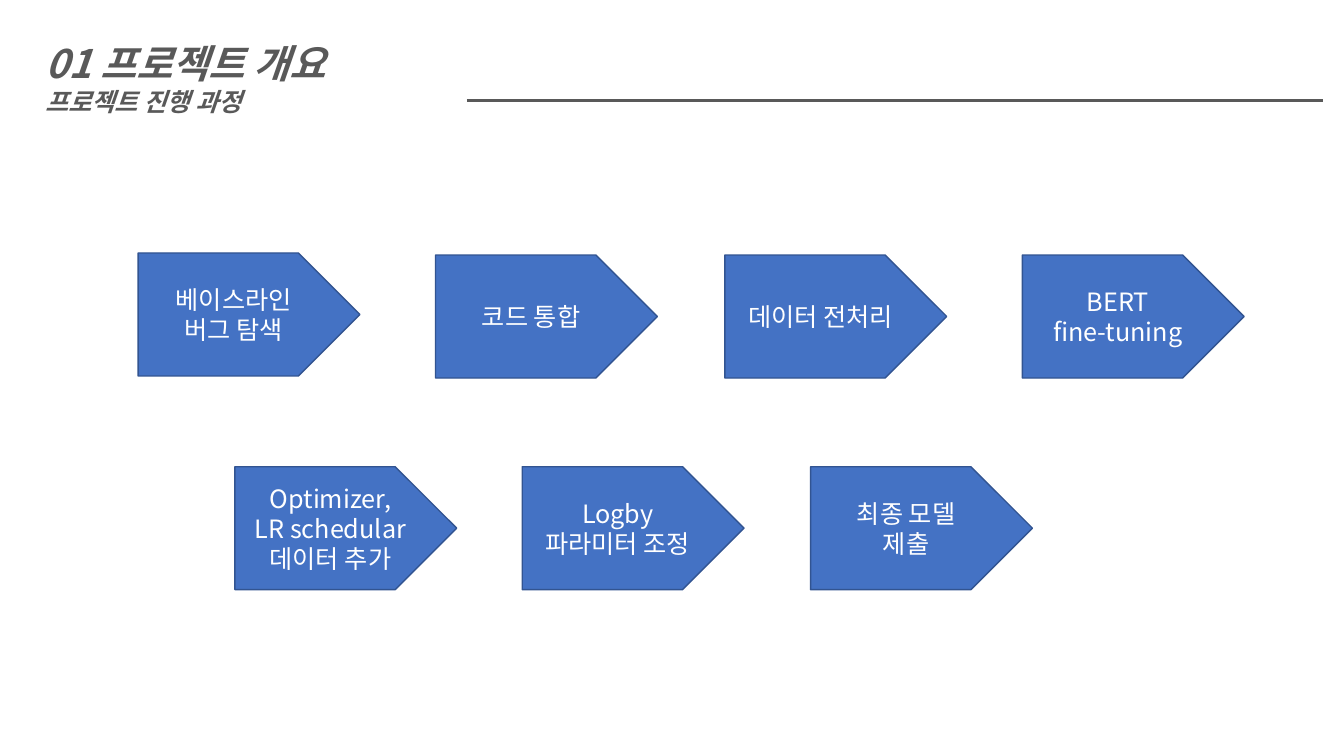
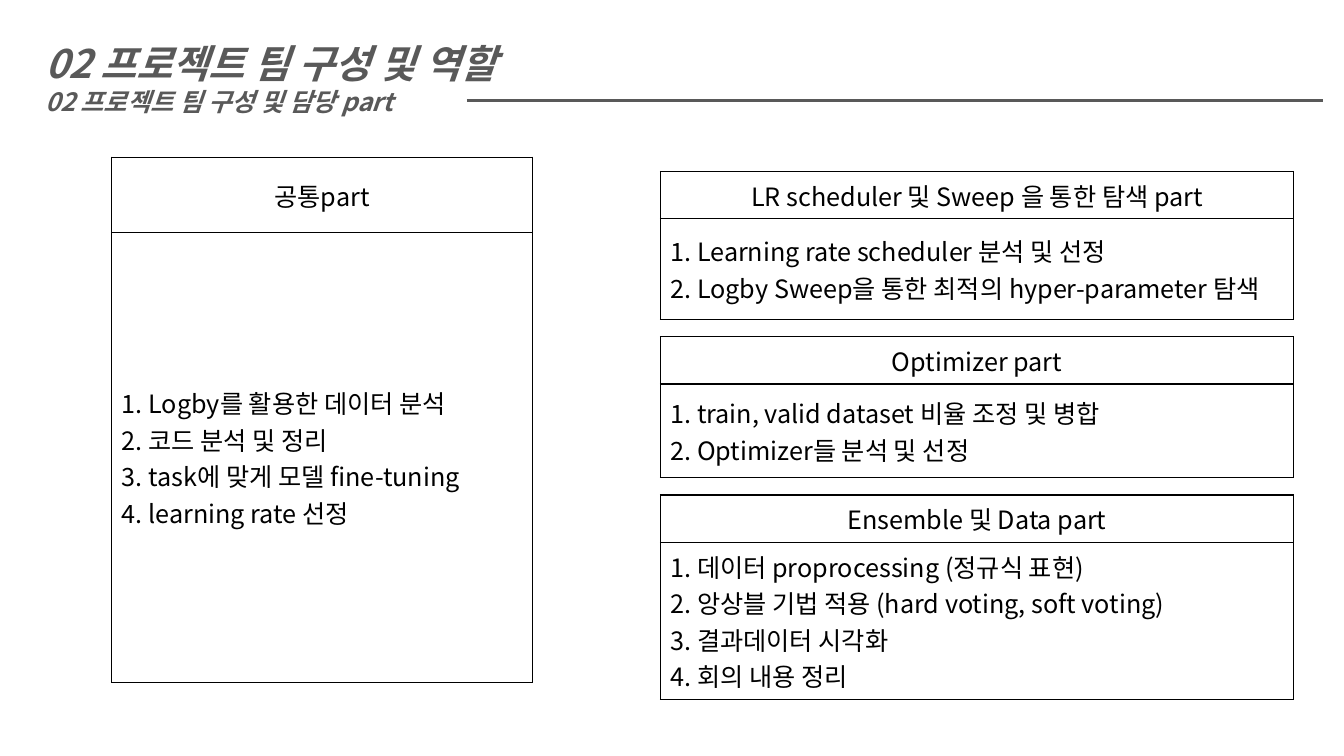
"""Builds two slides: the project process and the team roles."""
from lxml import etree
from pptx import Presentation
from pptx.dml.color import RGBColor
from pptx.enum.shapes import MSO_CONNECTOR as Connector, MSO_SHAPE as Shape
from pptx.enum.text import MSO_ANCHOR as Anchor, PP_ALIGN as Align
from pptx.oxml.ns import qn
from pptx.util import Inches, Pt

FONT = "Noto Sans CJK KR"
GRAY = RGBColor(0x59, 0x59, 0x59)
BLUE = RGBColor(0x44, 0x72, 0xC4)
NAVY = RGBColor(0x32, 0x54, 0x91)
WHITE = RGBColor(0xFF, 0xFF, 0xFF)
BLACK = RGBColor(0, 0, 0)

STEP_ROWS = [
    [(1.37, 2.51, ["베이스라인", "버그 탐색"]),
     (4.32, 2.53, ["코드 통합"]),
     (7.19, 2.53, ["데이터 전처리"]),
     (10.14, 2.53, ["BERT", "fine-tuning"])],
    [(2.33, 4.63, ["Optimizer,", "LR schedular", "데이터 추가"]),
     (5.18, 4.63, ["Logby", "파라미터 조정"]),
     (8.04, 4.63, ["최종 모델", "제출"])],
]
ROLES = [
    (1.11, 1.56, 4.17, (0.75, 4.46), "공통part",
     ["1. Logby를 활용한 데이터 분석", "2. 코드 분석 및 정리",
      "3. task에 맞게 모델 fine-tuning", "4. learning rate 선정"]),
    (6.55, 1.7, 6.28, (0.47, 1), "LR scheduler 및 Sweep 을 통한 탐색 part",
     ["1. Learning rate scheduler 분석 및 선정",
      "2. Logby Sweep을 통한 최적의 hyper-parameter 탐색"]),
    (6.55, 3.34, 6.28, (0.47, 0.93), "Optimizer part",
     ["1. train, valid dataset 비율 조정 및 병합", "2. Optimizer들 분석 및 선정"]),
    (6.55, 4.91, 6.28, (0.47, 1.56), "Ensemble 및 Data part",
     ["1. 데이터 proprocessing (정규식 표현)", "2. 앙상블 기법 적용 (hard voting, soft voting)",
      "3. 결과데이터 시각화", "4. 회의 내용 정리"]),
]


def write(frame, lines, color, align=Align.LEFT, sizes=(), heading=False):
    """Fill a text frame with one paragraph per line."""
    for index, line in enumerate(lines):
        para = frame.paragraphs[0] if index == 0 else frame.add_paragraph()
        para.alignment = align
        span = para.add_run()
        span.text = line
        span.font.size = Pt(sizes[index] if sizes else 18)
        span.font.name = FONT
        span.font.color.rgb = color
        if heading:
            span.font.bold = span.font.italic = True
        east_asian = etree.SubElement(span.font._element, qn("a:ea"))
        east_asian.set("typeface", FONT)


def add_page(title, subtitle):
    """Add a blank page with the shared heading and rule."""
    page = deck.slides.add_slide(deck.slide_layouts[6])
    rule = page.shapes.add_connector(
        Connector.STRAIGHT, Inches(4.63), Inches(1), Inches(13.12), Inches(1))
    rule.line.color.rgb = GRAY
    rule.line.width = Pt(2.25)
    etree.SubElement(rule._element.spPr, qn("a:effectLst"))
    box = page.shapes.add_textbox(Inches(0.35), Inches(0.34), Inches(5.69), Inches(0.91))
    box.text_frame.word_wrap = True
    write(box.text_frame, [title, subtitle], GRAY, sizes=(28, 18), heading=True)
    return page


deck = Presentation()
deck.slide_width = Inches(13.33)
deck.slide_height = Inches(7.5)

page = add_page("01 프로젝트 개요", "프로젝트 진행 과정")
for row in STEP_ROWS:
    for left, top, lines in row:
        step = page.shapes.add_shape(
            Shape.PENTAGON, Inches(left), Inches(top), Inches(2.2), Inches(1.22))
        step.shadow.inherit = False
        step.fill.solid()
        step.fill.fore_color.rgb = BLUE
        step.line.color.rgb = NAVY
        step.line.width = Pt(1)
        step.text_frame.word_wrap = True
        step.text_frame.vertical_anchor = Anchor.MIDDLE
        write(step.text_frame, lines, WHITE, Align.CENTER)

page = add_page("02 프로젝트 팀 구성 및 역할", "02 프로젝트 팀 구성 및 담당 part")
for left, top, width, heights, role, tasks in ROLES:
    table = page.shapes.add_table(
        2, 1, Inches(left), Inches(top), Inches(width), Inches(sum(heights))).table
    table.first_row = table.horz_banding = False
    contents = [([role], Align.CENTER), (tasks, Align.LEFT)]
    for index, (lines, align) in enumerate(contents):
        table.rows[index].height = Inches(heights[index])
        cell = table.cell(index, 0)
        cell.vertical_anchor = Anchor.MIDDLE
        write(cell.text_frame, lines, BLACK, align)
        properties = cell._tc.get_or_add_tcPr()
        for side in ("lnL", "lnR", "lnT", "lnB"):
            border = etree.SubElement(properties, qn(f"a:{side}"), w=str(Pt(1)))
            paint = etree.SubElement(border, qn("a:solidFill"))
            etree.SubElement(paint, qn("a:srgbClr"), val=str(BLACK))
        cell.fill.background()

deck.save("out.pptx")
